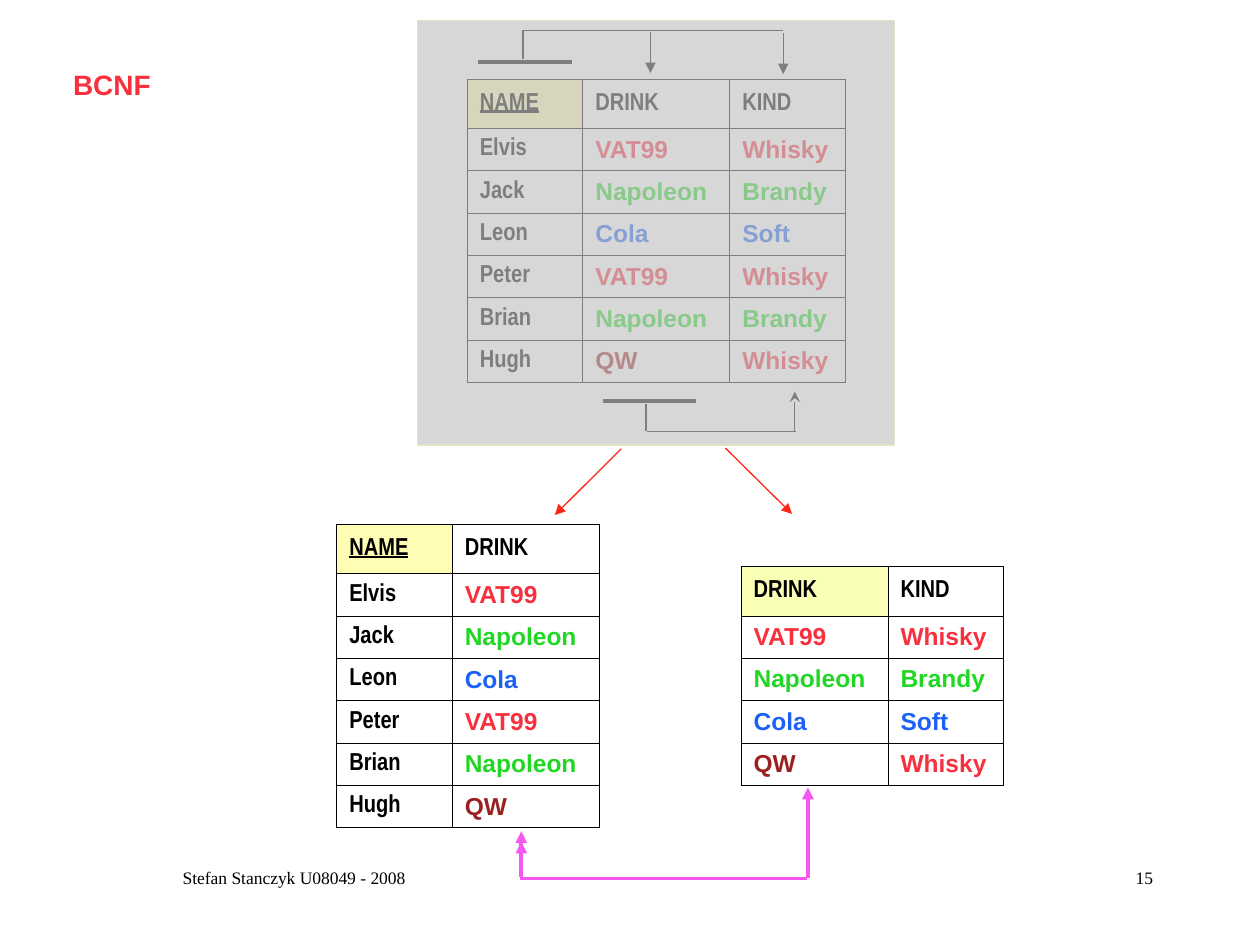
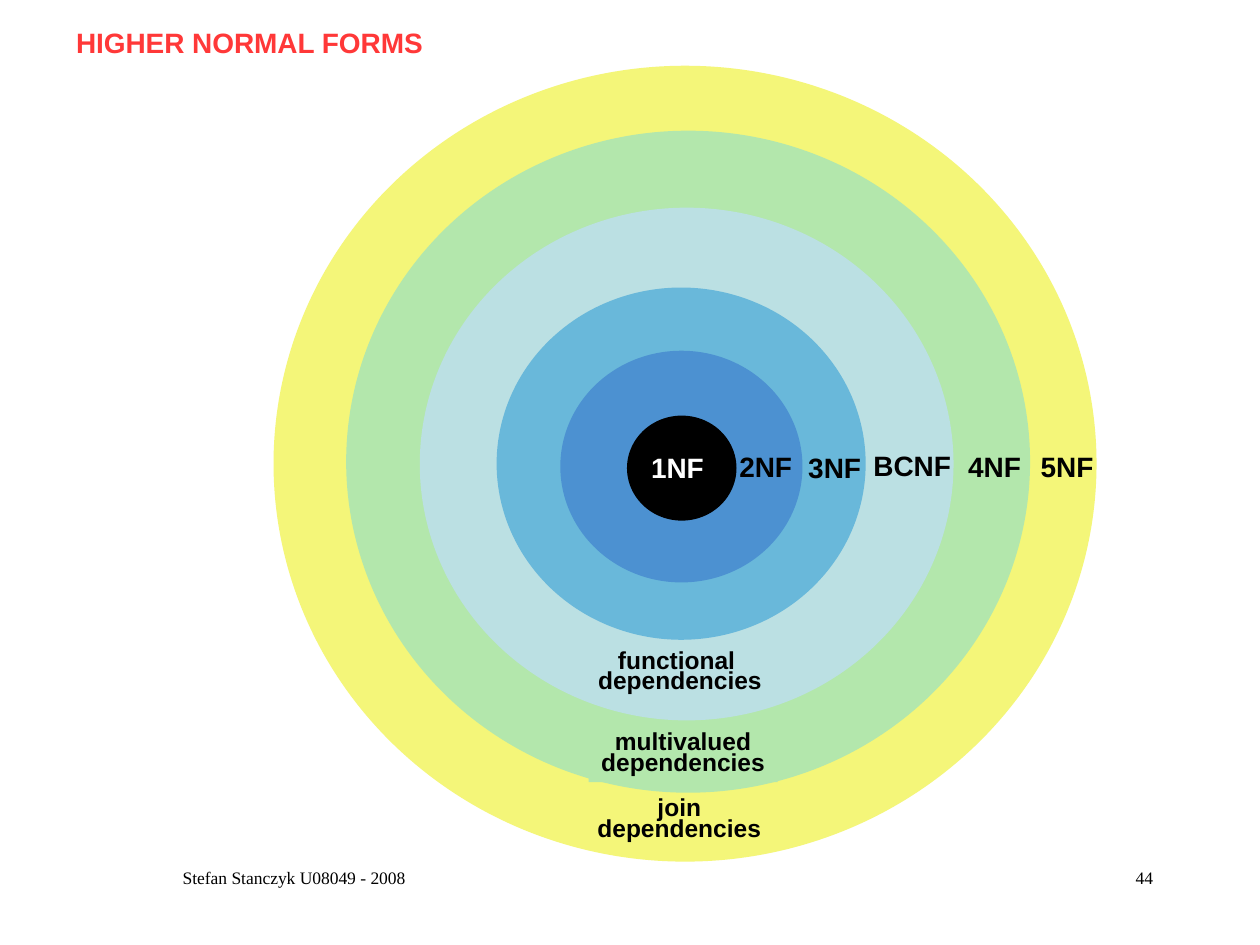
"""Build two slides on BCNF decomposition and the higher normal forms."""
from lxml.etree import SubElement
from pptx import Presentation
from pptx.dml.color import RGBColor
from pptx.enum.shapes import MSO_CONNECTOR, MSO_SHAPE
from pptx.enum.text import MSO_ANCHOR, MSO_AUTO_SIZE, PP_ALIGN
from pptx.oxml.ns import qn
from pptx.util import Pt

BLACK = RGBColor(0x00, 0x00, 0x00)
WHITE = RGBColor(0xFF, 0xFF, 0xFF)
RED = RGBColor(0xF8, 0x2F, 0x3C)
TITLE_RED = RGBColor(0xFF, 0x38, 0x38)
ARROW_RED = RGBColor(0xFF, 0x27, 0x18)
GREEN = RGBColor(0x20, 0xD7, 0x23)
BLUE = RGBColor(0x1B, 0x61, 0xF8)
MAROON = RGBColor(0x9B, 0x20, 0x22)
PINK = RGBColor(0xF8, 0x56, 0xF0)
KEY_YELLOW = RGBColor(0xFF, 0xFC, 0xB4)
KEY_LIME = RGBColor(0xF9, 0xFF, 0xB5)
VEIL_GREY = RGBColor(0xC2, 0xC2, 0xC2)
VEIL_EDGE = RGBColor(0xE3, 0xE1, 0xC8)
YELLOW = RGBColor(0xF4, 0xF6, 0x79)
MINT = RGBColor(0xB3, 0xE7, 0xAC)
PALE_BLUE = RGBColor(0xBB, 0xE0, 0xE3)
SKY = RGBColor(0x69, 0xB8, 0xDA)
MID_BLUE = RGBColor(0x4C, 0x91, 0xD1)

SANS, NARROW, SERIF = "Arial", "Arial Narrow", "Times New Roman"
FOOTER = "Stefan Stanczyk U08049 - 2008"

COLUMNS = ("NAME", "DRINK", "KIND")
COLUMN_WIDTHS = {"NAME": 66, "DRINK": 84, "KIND": 66}
HEADER_HEIGHT, ROW_HEIGHT = 28.2, 24.2
DRINKERS = [
    ("Elvis", "VAT99", "Whisky"),
    ("Jack", "Napoleon", "Brandy"),
    ("Leon", "Cola", "Soft"),
    ("Peter", "VAT99", "Whisky"),
    ("Brian", "Napoleon", "Brandy"),
    ("Hugh", "QW", "Whisky"),
]
VALUE_COLORS = {
    "VAT99": RED, "Whisky": RED, "Napoleon": GREEN, "Brandy": GREEN,
    "Cola": BLUE, "Soft": BLUE, "QW": MAROON,
}
RELATIONS = [
    (267, 45.2, COLUMNS, KEY_YELLOW),
    (192.4, 299.7, ("NAME", "DRINK"), KEY_YELLOW),
    (423.4, 323.8, ("DRINK", "KIND"), KEY_LIME),
]

DEPENDENCIES = [
    (BLACK, 0.75, "triangle", [(371.7, 18, 371.7, 41.8), (447.6, 18.6, 447.6, 42.4)]),
    (BLACK, 2.25, None, [(273.3, 35.4, 326.7, 35.4), (344.3, 229, 397.7, 229)]),
    (BLACK, 0.75, None, [(298.9, 17.3, 298.9, 33.8), (298.4, 17.3, 447.6, 17.3),
                         (370, 246.5, 454.8, 246.5), (369.2, 246.5, 369.2, 230.7)]),
    (BLACK, 0.75, "stealth", [(454.2, 246.5, 454.2, 223.9)]),
]
SPLIT_ARROWS = [
    (ARROW_RED, 0.75, "triangle", [(355, 256.5, 317, 294.3), (414.5, 256, 452.6, 293.7)]),
]
JOIN_LINK = [
    (PINK, 2.25, "triangle", [(297.9, 499, 297.9, 475), (297.9, 501, 297.9, 481),
                              (461.7, 502, 461.7, 450)]),
    (PINK, 2.25, None, [(297.3, 502, 461, 502)]),
]
VEIL = (238.5, 11.8, 272.5, 242.5)

RINGS = [
    (YELLOW, 156.3, 37.6, 470.3, 454.8),
    (MINT, 197.8, 74.7, 390.8, 378.3),
    (PALE_BLUE, 239.9, 118.7, 305, 293),
    (SKY, 283.8, 164.3, 210.9, 201.3),
    (MID_BLUE, 320.2, 200.4, 138.4, 132.4),
    (BLACK, 358.3, 237.5, 62.6, 60),
]
FORM_LABELS = [
    ("1NF", 365, 253.8, 44.8, WHITE),
    ("2NF", 415.4, 253.1, 44.8, BLACK),
    ("3NF", 454.8, 253.8, 44.8, BLACK),
    ("BCNF", 492, 252.8, 60, BLACK),
    ("4NF", 546.2, 253.4, 44.8, BLACK),
    ("5NF", 587.6, 253.1, 44.8, BLACK),
]
DEPENDENCY_LABELS = [
    (("functional ", "dependencies"), 334.6, 369.5, PALE_BLUE),
    (("multivalued", "dependencies"), 336.4, 416, MINT),
    (("join", "dependencies"), 334.2, 453.6, YELLOW),
]


def add_run(paragraph, words, size, face, color, bold=True, underline=False):
    run = paragraph.add_run()
    run.text = words
    font = run.font
    font.size, font.name, font.bold = Pt(size), face, bold
    font.color.rgb = color
    if underline:
        font.underline = True


def add_text(slide, words, box, size, color, face=SANS, bold=True,
             align=PP_ALIGN.LEFT, wrap=False):
    frame = slide.shapes.add_textbox(*map(Pt, box)).text_frame
    frame.word_wrap = wrap
    if not wrap:
        frame.auto_size = MSO_AUTO_SIZE.SHAPE_TO_FIT_TEXT
    paragraph = frame.paragraphs[0]
    paragraph.alignment = align
    add_run(paragraph, words, size, face, color, bold)


def add_filled(slide, kind, box, color):
    shape = slide.shapes.add_shape(kind, *map(Pt, box))
    shape.shadow.inherit = False
    shape.fill.solid()
    shape.fill.fore_color.rgb = color
    shape.line.fill.background()
    return shape


def add_lines(slide, groups):
    for color, width, head, segments in groups:
        for segment in segments:
            link = slide.shapes.add_connector(MSO_CONNECTOR.STRAIGHT, *map(Pt, segment))
            link.line.color.rgb = color
            link.line.width = Pt(width)
            if head:
                SubElement(link.line._get_or_add_ln(), qn("a:tailEnd"), type=head)
            SubElement(link._element.spPr, qn("a:effectLst"))


def outline_cell(cell):
    properties = cell._tc.get_or_add_tcPr()
    for side in ("lnL", "lnR", "lnT", "lnB"):
        edge = SubElement(properties, qn(f"a:{side}"), w=str(Pt(0.45)))
        fill = SubElement(edge, qn("a:solidFill"))
        SubElement(fill, qn("a:srgbClr"), val=str(BLACK))


def add_relation(slide, left, top, columns, key_fill):
    places = [COLUMNS.index(column) for column in columns]
    tuples = list(dict.fromkeys(tuple(row[i] for i in places) for row in DRINKERS))
    widths = [COLUMN_WIDTHS[column] for column in columns]
    heights = [HEADER_HEIGHT] + [ROW_HEIGHT] * len(tuples)
    table = slide.shapes.add_table(len(heights), len(columns), Pt(left), Pt(top),
                                   Pt(sum(widths)), Pt(sum(heights))).table
    table.first_row = table.horz_banding = False
    for column, width in zip(table.columns, widths):
        column.width = Pt(width)
    for row, height in zip(table.rows, heights):
        row.height = Pt(height)
    for r, values in enumerate([columns] + tuples):
        for c, value in enumerate(values):
            cell = table.cell(r, c)
            cell.vertical_anchor = MSO_ANCHOR.MIDDLE
            outline_cell(cell)
            if r == 0 and c == 0:
                cell.fill.solid()
                cell.fill.fore_color.rgb = key_fill
            else:
                cell.fill.background()
            face = SANS if value in VALUE_COLORS else NARROW
            add_run(cell.text_frame.paragraphs[0], value, 14, face,
                    VALUE_COLORS.get(value, BLACK), underline=value == "NAME")


def start_slide(deck, title, title_box, title_color, number):
    slide = deck.slides.add_slide(deck.slide_layouts[6])
    add_text(slide, title, title_box, 16, title_color)
    for words, box, align in ((FOOTER, (54, 492, 228, 36), PP_ALIGN.CENTER),
                              (number, (516, 492, 150, 36), PP_ALIGN.RIGHT)):
        add_text(slide, words, box, 10, BLACK, SERIF, False, align, True)
    return slide


def build_bcnf(deck):
    slide = start_slide(deck, "BCNF", (34.7, 35, 60, 26.6), RED, "15")
    for relation in RELATIONS:
        add_relation(slide, *relation)
    add_lines(slide, DEPENDENCIES + SPLIT_ARROWS)
    veil = add_filled(slide, MSO_SHAPE.RECTANGLE, VEIL, VEIL_GREY)
    veil.line.color.rgb = VEIL_EDGE
    veil.line.width = Pt(0.75)
    tint = veil._element.spPr.find(qn("a:solidFill"))[0]
    SubElement(tint, qn("a:alpha"), val="65000")
    add_lines(slide, JOIN_LINK)


def build_higher_forms(deck):
    slide = start_slide(deck, "HIGHER NORMAL FORMS", (36.4, 10.8, 213, 26.6),
                        TITLE_RED, "44")
    for color, *box in RINGS:
        add_filled(slide, MSO_SHAPE.OVAL, box, color)
    for form, left, top, width, color in FORM_LABELS:
        add_text(slide, form, (left, top, width, 26.6), 16, color)
    for lines, left, top, color in DEPENDENCY_LABELS:
        label = add_filled(slide, MSO_SHAPE.RECTANGLE, (left, top, 108, 31), color)
        frame = label.text_frame
        frame.word_wrap = False
        frame.auto_size = MSO_AUTO_SIZE.SHAPE_TO_FIT_TEXT
        frame.vertical_anchor = MSO_ANCHOR.TOP
        for i, words in enumerate(lines):
            paragraph = frame.add_paragraph() if i else frame.paragraphs[0]
            paragraph.alignment = PP_ALIGN.CENTER
            paragraph.line_spacing = 0.7
            add_run(paragraph, words, 14, SANS, BLACK)


def main():
    deck = Presentation()
    deck.slide_width, deck.slide_height = Pt(720), Pt(540)
    build_bcnf(deck)
    build_higher_forms(deck)
    deck.save("out.pptx")


if __name__ == "__main__":
    main()
